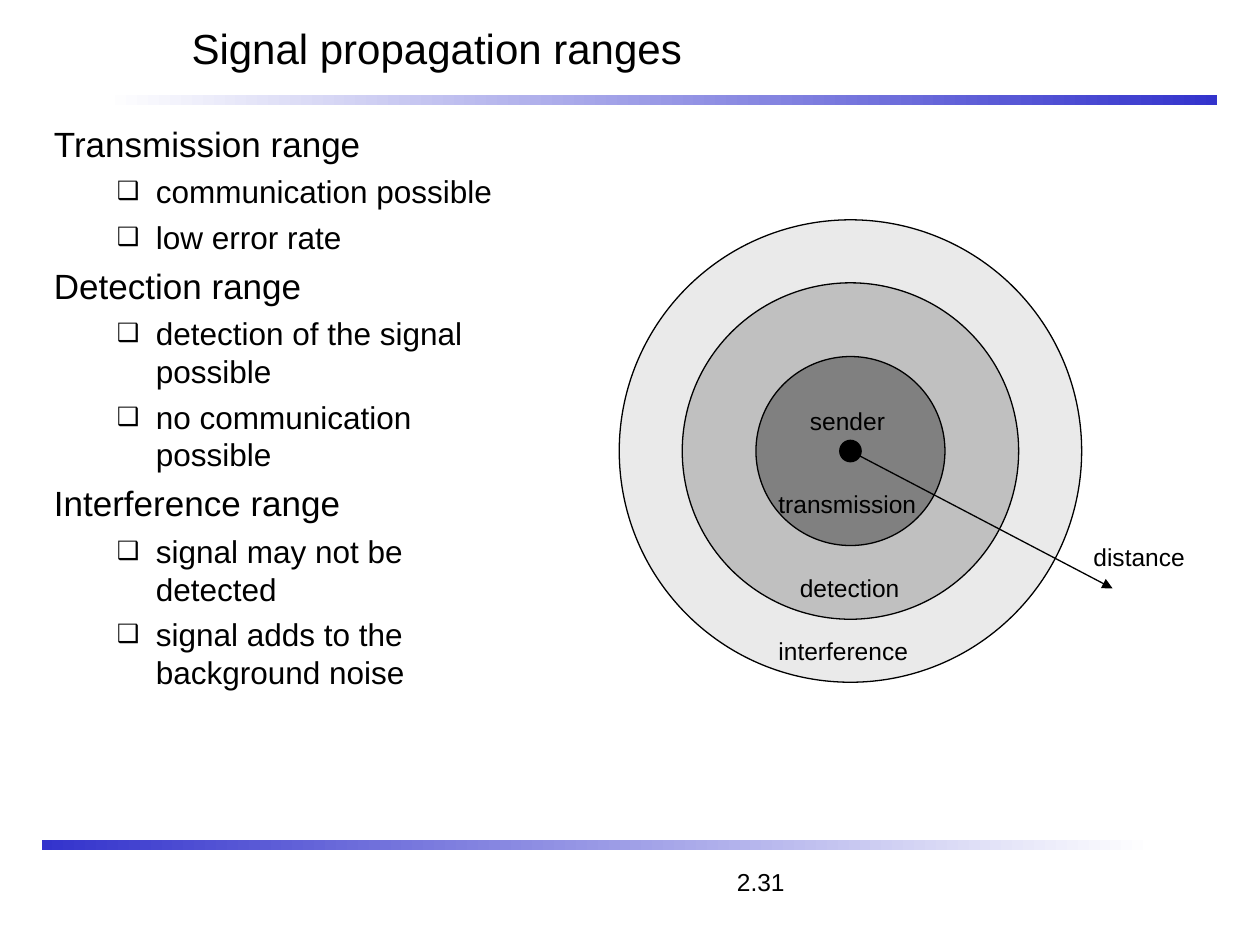
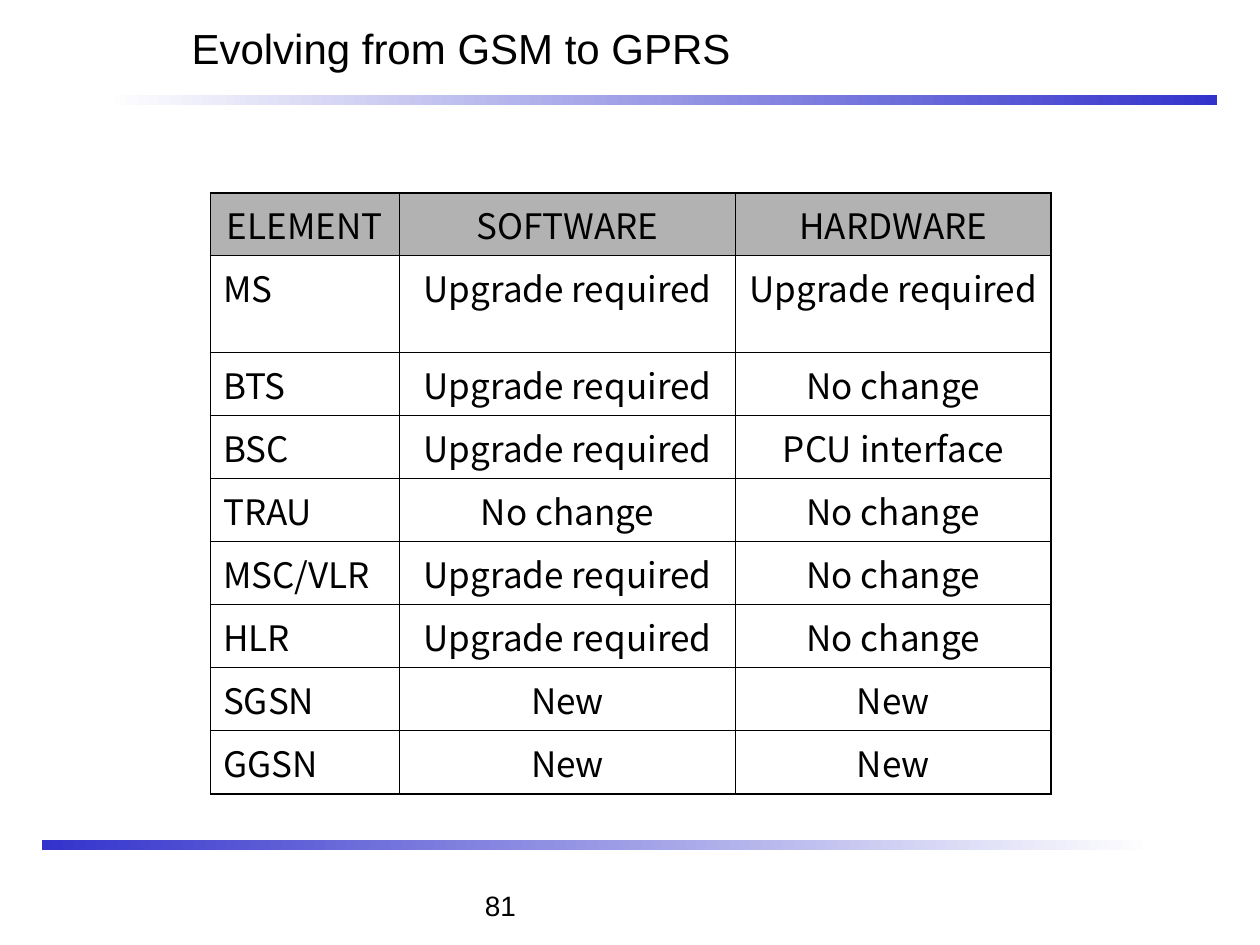
"""Build two slides on signal ranges and the move from GSM to GPRS."""
from lxml import etree
from pptx import Presentation
from pptx.dml.color import RGBColor
from pptx.enum.shapes import MSO_CONNECTOR, MSO_SHAPE
from pptx.enum.text import MSO_ANCHOR, PP_ALIGN
from pptx.oxml.ns import qn
from pptx.util import Inches, Pt

LEFT, CENTER = PP_ALIGN.LEFT, PP_ALIGN.CENTER
MIDDLE = MSO_ANCHOR.MIDDLE
RECT, OVAL = MSO_SHAPE.RECTANGLE, MSO_SHAPE.OVAL
STRAIGHT = MSO_CONNECTOR.STRAIGHT
COLORS = {
    "black": "000000",
    "white": "FFFFFF",
    "blue": "3333CC",
    "outer": "EAEAEA",
    "middle": "C0C0C0",
    "inner": "808080",
    "head": "B2B2B2",
}
RGB = {name: RGBColor.from_string(code) for name, code in COLORS.items()}
SANS, TABLE_FONT = "Arial", "Noto Sans CJK KR"


def style(para, size, font=SANS, align=LEFT):
    para.alignment = align
    para.font.size = Pt(size)
    para.font.name = font
    para.font.color.rgb = RGB["black"]


def add_text(slide, text, box, size):
    frame = slide.shapes.add_textbox(*map(Inches, box)).text_frame
    frame.word_wrap = True
    frame.text = text
    style(frame.paragraphs[0], size)
    return frame


deck = Presentation()
deck.slide_width, deck.slide_height = Inches(10), Inches(7.5)

bands = [(0.83, 0.75, "white", "blue"), (0.33, 6.67, "blue", "white")]
slides = []
for title in ["Signal propagation ranges", "Evolving from GSM to GPRS"]:
    slide = deck.slides.add_slide(deck.slide_layouts[5])
    slides.append(slide)
    for left, top, start, end in bands:
        band = slide.shapes.add_shape(
            RECT, Inches(left), Inches(top), Inches(8.83), Inches(0.08))
        band.shadow.inherit = False
        band.line.fill.background()
        band.fill.gradient()
        band.fill.gradient_angle = 0
        for stop, name in zip(band.fill.gradient_stops, (start, end)):
            stop.color.rgb = RGB[name]
    head = slide.shapes.title
    head.left, head.top = Inches(1.42), Inches(0)
    head.width, head.height = Inches(8.42), Inches(0.75)
    head.text_frame.text = title
    head.text_frame.vertical_anchor = MIDDLE
    style(head.text_frame.paragraphs[0], 24)

ranges, table_slide = slides

page = add_text(ranges, "\t2.31", (0.33, 6.83, 8.75, 0.33), 14)
props = page.paragraphs[0]._p.get_or_add_pPr()
tabs = etree.Element(qn("a:tabLst"))
etree.SubElement(tabs, qn("a:tab"), pos=str(Inches(5.42)), algn="l")
props.insert(0, tabs)
add_text(table_slide, "81", (3.75, 7, 1.5, 0.5), 16)

points = [
    ("Transmission range", ["communication possible", "low error rate"]),
    ("Detection range",
     ["detection of the signal\vpossible", "no communication\vpossible"]),
    ("Interference range",
     ["signal may not be\vdetected", "signal adds to the\vbackground noise"]),
]
body = add_text(ranges, points[0][0], (0.33, 0.92, 9.33, 5.67), 20)
for index, (topic, items) in enumerate(points):
    if index:
        para = body.add_paragraph()
        para.text = topic
        para.space_before = Pt(5)
        style(para, 20)
    for item in items:
        para = body.add_paragraph()
        para.text = item
        para.level = 1
        props = para._p.get_or_add_pPr()
        props.set("marL", str(Inches(0.81)))
        props.set("indent", str(Inches(-0.31)))
        color = etree.SubElement(props, qn("a:buClr"))
        etree.SubElement(color, qn("a:srgbClr"), val=COLORS["black"])
        etree.SubElement(props, qn("a:buSzPct"), val="80000")
        etree.SubElement(props, qn("a:buFont"), typeface=SANS)
        etree.SubElement(props, qn("a:buChar"), char="❑")
        para.space_before = Pt(4.5)
        style(para, 18)

mid_x, mid_y = 6.75, 3.58
circles = [(3.67, "outer"), (2.67, "middle"), (1.5, "inner"), (0.17, "black")]
for size, name in circles:
    circle = ranges.shapes.add_shape(
        OVAL, Inches(mid_x - size / 2), Inches(mid_y - size / 2),
        Inches(size), Inches(size))
    circle.shadow.inherit = False
    circle.fill.solid()
    circle.fill.fore_color.rgb = RGB[name]
    circle.line.color.rgb = RGB["black"]
    circle.line.width = Pt(0.75)

arrow = ranges.shapes.add_connector(
    STRAIGHT, Inches(mid_x), Inches(mid_y), Inches(8.83), Inches(4.67))
arrow.line.color.rgb = RGB["black"]
arrow.line.width = Pt(0.75)
etree.SubElement(arrow.line._get_or_add_ln(), qn("a:tailEnd"), type="triangle")
etree.SubElement(arrow._element.spPr, qn("a:effectLst"))

labels = [
    ("distance", 8.58, 4.25, 1),
    ("sender", 6.33, 3.17, 0.9),
    ("transmission", 6.08, 3.83, 1.4),
    ("detection", 6.25, 4.5, 1.1),
    ("interference", 6.08, 5, 1.35),
]
for text, left, top, width in labels:
    add_text(ranges, text, (left, top, width, 0.34), 14)

need, same, new = "Upgrade required", "No change", "New"
rows = [
    ("ELEMENT", "SOFTWARE", "HARDWARE"),
    ("MS", need, need),
    ("BTS", need, same),
    ("BSC", need, "PCU interface"),
    ("TRAU", same, same),
    ("MSC/VLR", need, same),
    ("HLR", need, same),
    ("SGSN", new, new),
    ("GGSN", new, new),
]
widths = [1.5, 2.67, 2.5]
last_row, last_col = len(rows) - 1, len(widths) - 1
grid = table_slide.shapes.add_table(
    len(rows), len(widths), Inches(1.67), Inches(1.53),
    Inches(6.67), Inches(4.77)).table
grid.first_row = grid.horz_banding = False
for col, width in zip(grid.columns, widths):
    col.width = Inches(width)
for r, values in enumerate(rows):
    grid.rows[r].height = Inches(0.77 if r == 1 else 0.5)
    for c, value in enumerate(values):
        cell = grid.cell(r, c)
        cell.text_frame.text = value
        align = CENTER if r == 0 or c else LEFT
        style(cell.text_frame.paragraphs[0], 20, TABLE_FONT, align)
        props = cell._tc.get_or_add_tcPr()
        edges = {"L": c == 0, "R": c == last_col,
                 "T": r == 0, "B": r == last_row}
        for side, outer in edges.items():
            width = str(Pt(1.08 if outer else 0.45))
            line = etree.SubElement(props, qn("a:ln" + side), w=width)
            fill = etree.SubElement(line, qn("a:solidFill"))
            etree.SubElement(fill, qn("a:srgbClr"), val=COLORS["black"])
        if r:
            cell.fill.background()
        else:
            cell.fill.solid()
            cell.fill.fore_color.rgb = RGB["head"]

deck.save("out.pptx")
